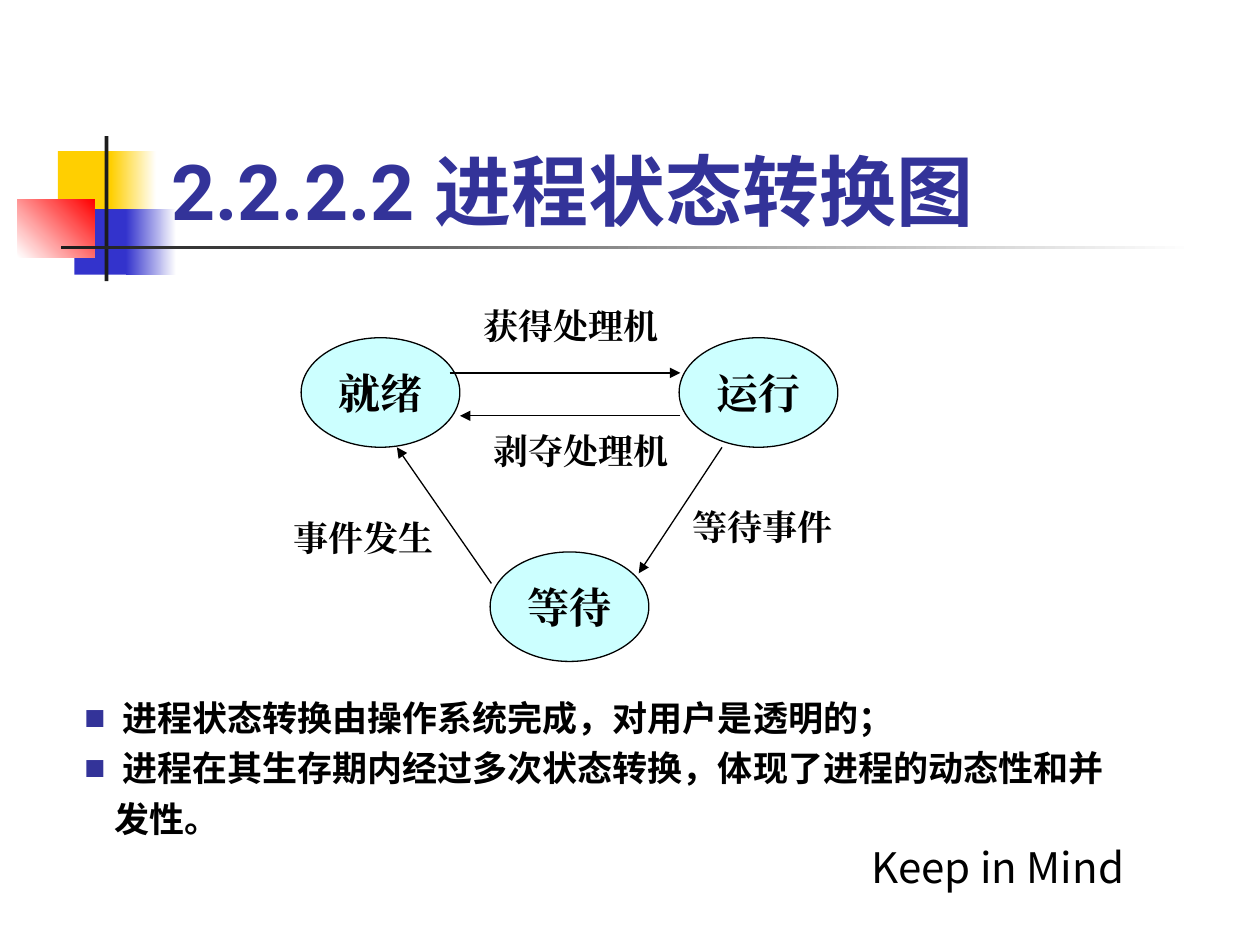
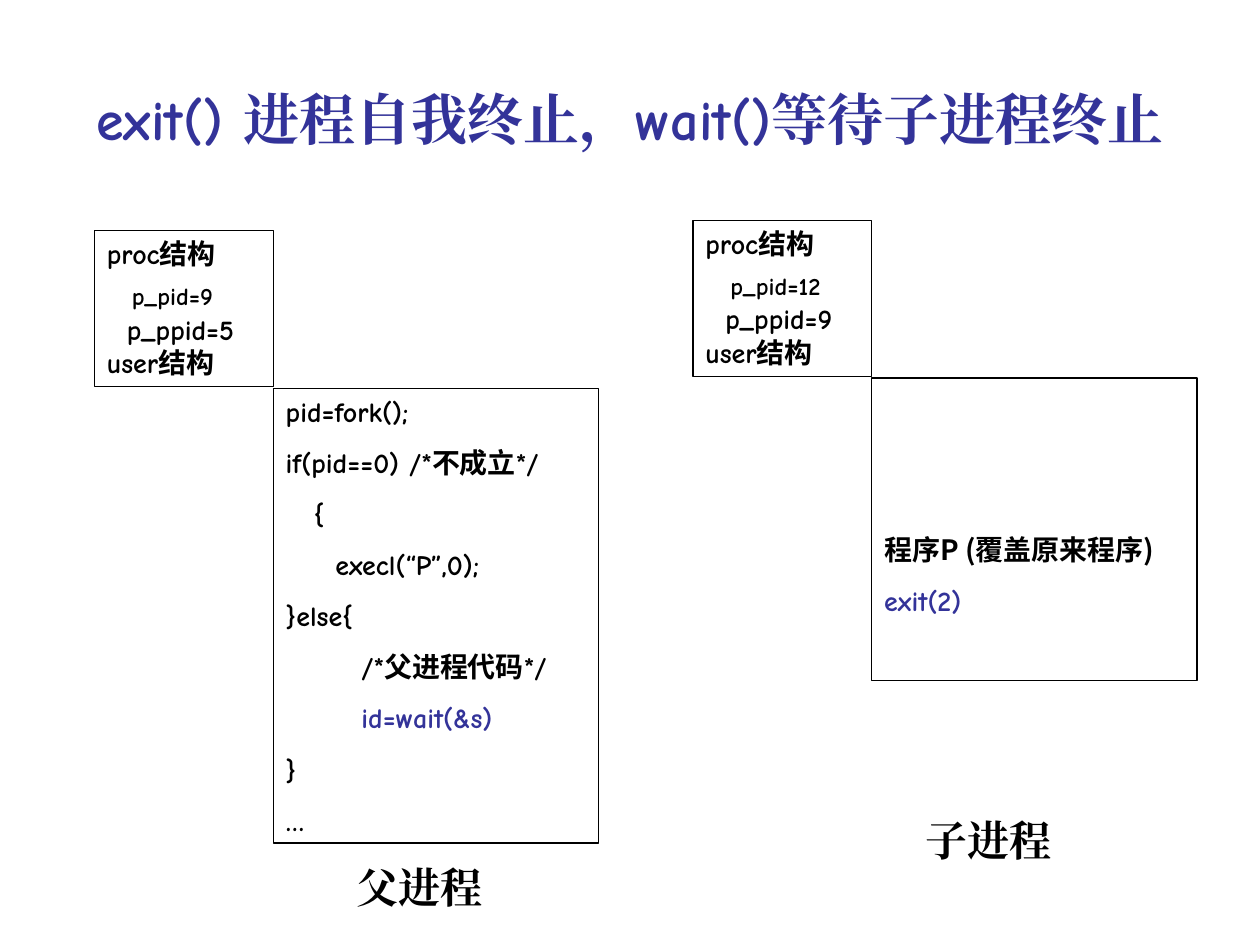
from dataclasses import dataclass

from lxml import etree
from pptx import Presentation
from pptx.dml.color import RGBColor
from pptx.enum import shapes, text
from pptx.oxml import ns
from pptx.util import Pt


@dataclass(frozen=True)
class Theme:
    ink: str = "000000"
    accent: str = "333399"
    state: str = "CCFFFF"
    paper: str = "FFFFFF"
    yellow: str = "FFCF01"
    blue: str = "3333CC"
    red: str = "FF0000"
    rule: str = "1C1C1C"
    serif: str = "Times New Roman"
    hand: str = "Comic Neue"
    sans: str = "Noto Sans CJK SC"
    heading: str = "Roboto"
    title: int = 44
    long_title: int = 32
    large: int = 24
    label: int = 20
    code: int = 16
    small: int = 14
    line: float = 0.75


THEME = Theme()
ALIGN = text.PP_ALIGN
ANCHOR = text.MSO_ANCHOR


def rgb(value):
    return RGBColor.from_string(value)


def add_span(para, words, size, font, color=THEME.ink, bold=True):
    span = para.add_run()
    span.text = words
    span.font.size = Pt(size)
    span.font.bold = bold
    span.font.color.rgb = rgb(color)
    span.font.name = font
    east_asian = etree.SubElement(span.font._element, ns.qn("a:ea"))
    east_asian.set("typeface", font)


def next_para(frame, index, space_before=0):
    """Return the paragraph to fill; only later paragraphs get space before."""
    para = frame.add_paragraph() if index else frame.paragraphs[0]
    para.space_before = Pt(space_before if index else 0)
    return para


def place(shape, left, top, width, height):
    shape.left, shape.top = Pt(left), Pt(top)
    shape.width, shape.height = Pt(width), Pt(height)


def set_frame(shape, anchor=ANCHOR.TOP):
    frame = shape.text_frame
    frame.word_wrap = True
    frame.auto_size = text.MSO_AUTO_SIZE.NONE
    frame.vertical_anchor = anchor
    return frame


def add_title(slide, area, spans, size, align, anchor):
    title = slide.shapes.title
    place(title, *area)
    frame = set_frame(title, anchor)
    para = next_para(frame, 0)
    para.alignment = align
    for words, font in spans:
        add_span(para, words, size, font, THEME.accent)
    return frame


def add_label(slide, area, words, size, font=THEME.serif, bold=True, align=ALIGN.LEFT):
    box = slide.shapes.add_textbox(*map(Pt, area))
    para = next_para(set_frame(box), 0)
    para.alignment = align
    add_span(para, words, size, font, bold=bold)


def add_block(slide, area, colors, angle=0):
    """Draw a borderless rectangle in one colour or a two-colour gradient."""
    block = slide.shapes.add_shape(shapes.MSO_SHAPE.RECTANGLE, *map(Pt, area))
    block.shadow.inherit = False
    block.line.fill.background()
    if len(colors) == 1:
        block.fill.solid()
        block.fill.fore_color.rgb = rgb(colors[0])
        return
    block.fill.gradient()
    block.fill.gradient_angle = angle
    for stop, color in zip(block.fill.gradient_stops, colors):
        stop.color.rgb = rgb(color)


def add_ornament(slide):
    t = THEME
    add_block(slide, (33.1, 86.4, 34.6, 37.4), [t.yellow])
    add_block(slide, (63.4, 86.4, 25.9, 37.4), [t.yellow, t.paper])
    add_block(slide, (42.5, 119.5, 33.1, 37.4), [t.blue])
    add_block(slide, (72, 119.5, 28.8, 37.4), [t.blue, t.paper])
    add_block(slide, (10.1, 113.8, 43.9, 33.1), [t.paper, t.red], angle=45)
    add_block(slide, (59.8, 77.8, 2.2, 82.8), [t.rule])
    add_block(slide, (34.6, 140.4, 648, 2.2), [t.rule, t.paper])
    title = slide.shapes.title._element
    title.getparent().append(title)


def add_outlined(slide, kind, area, fill=None):
    shape = slide.shapes.add_shape(kind, *map(Pt, area))
    shape.shadow.inherit = False
    shape.line.color.rgb = rgb(THEME.ink)
    shape.line.width = Pt(THEME.line)
    if fill:
        shape.fill.solid()
        shape.fill.fore_color.rgb = rgb(fill)
    else:
        shape.fill.background()
    return shape


def add_state(slide, left, top, name):
    oval = add_outlined(slide, shapes.MSO_SHAPE.OVAL, (left, top, 90.7, 62.6), THEME.state)
    frame = set_frame(oval, ANCHOR.MIDDLE)
    para = next_para(frame, 0)
    para.alignment = ALIGN.CENTER
    add_span(para, name, THEME.large, THEME.serif)


def add_arrow(slide, ends):
    arrow = slide.shapes.add_connector(shapes.MSO_CONNECTOR.STRAIGHT, *map(Pt, ends))
    arrow.line.color.rgb = rgb(THEME.ink)
    arrow.line.width = Pt(THEME.line)
    etree.SubElement(arrow.line._get_or_add_ln(), ns.qn("a:tailEnd")).set("type", "triangle")
    etree.SubElement(arrow._element.spPr, ns.qn("a:effectLst"))


def add_bullets(slide, area, items):
    body = slide.placeholders[1]
    place(body, *area)
    frame = set_frame(body)
    frame.margin_left = frame.margin_right = frame.margin_top = frame.margin_bottom = 0
    for index, item in enumerate(items):
        para = next_para(frame, index)
        para.line_spacing = Pt(28.8)
        props = para._p.get_or_add_pPr()
        props.set("marL", str(Pt(17)))
        props.set("indent", str(-Pt(17)))
        color = etree.SubElement(props, ns.qn("a:buClr"))
        etree.SubElement(color, ns.qn("a:srgbClr")).set("val", THEME.accent)
        etree.SubElement(props, ns.qn("a:buChar")).set("char", "■")
        add_span(para, " " + item, THEME.label, THEME.sans)


def add_text_rect(slide, area):
    rect = add_outlined(slide, shapes.MSO_SHAPE.RECTANGLE, area)
    return set_frame(rect)


def add_proc(slide, left, top, pid, ppid):
    frame = add_text_rect(slide, (left, top, 102.2, 89.3))
    rows = [("proc结构", THEME.code, 0, 0), (f"p_pid={pid}", THEME.small, 14.3, 6),
            (f"p_ppid={ppid}", THEME.code, 11.4, 1), ("user结构", THEME.code, 0, 0)]
    for index, (words, size, indent, gap) in enumerate(rows):
        para = next_para(frame, index, gap)
        para.alignment = ALIGN.LEFT
        para._p.get_or_add_pPr().set("marL", str(Pt(indent)))
        add_span(para, words, size, THEME.hand)


def add_program(slide, area, lines, top_inset=3.6):
    """Draw a framed program; each line is (words, font, colour)."""
    frame = add_text_rect(slide, area)
    frame.margin_top = Pt(top_inset)
    for index, (words, font, color) in enumerate(lines):
        para = next_para(frame, index, 10)
        para.alignment = ALIGN.LEFT
        add_span(para, words, THEME.code, font, color)


def build_state_diagram(deck):
    slide = deck.slides.add_slide(deck.slide_layouts[1])
    add_title(slide, (90.7, 48.2, 613.4, 90), [("2.2.2.2 进程状态转换图", THEME.heading)],
              THEME.title, ALIGN.LEFT, ANCHOR.BOTTOM)
    add_ornament(slide)
    for column, (name, top) in enumerate([("就绪", 193), ("等待", 315.4), ("运行", 193)]):
        add_state(slide, 172.1 + 108 * column, top, name)
    transitions = [
        ("获得处理机", (257, 213.1, 388.8, 213.1), (269.3, 170.6, 120.2)),
        ("剥夺处理机", (388.8, 237.6, 262.8, 237.6), (275, 241.9, 120.2)),
        ("等待事件", (412.6, 255.6, 365, 327.6), (388.8, 285.1, 95.8)),
        ("事件发生", (280.8, 333.4, 226.8, 255.6), (160.6, 291.6, 95.8)),
    ]
    for name, ends, label_area in transitions:
        add_arrow(slide, ends)
        add_label(slide, (*label_area, 31.7), name, THEME.label)
    add_label(slide, (462.2, 477.4, 216, 48.2), "Keep in Mind", THEME.large,
              THEME.sans, bold=False, align=ALIGN.CENTER)
    add_bullets(slide, (48.2, 393.1, 592.6, 86.4), [
        "进程状态转换由操作系统完成，对用户是透明的；",
        "进程在其生存期内经过多次状态转换，体现了进程的动态性和并发性。"])


def build_exit_wait(deck):
    slide = deck.slides.add_slide(deck.slide_layouts[5])
    title = add_title(slide, (36, 44.6, 648, 46.1),
                      [("exit() ", THEME.hand), ("进程自我终止，", THEME.serif),
                       ("wait()", THEME.hand), ("等待子进程终止", THEME.serif)],
                      THEME.long_title, ALIGN.CENTER, ANCHOR.MIDDLE)
    title.margin_left = title.margin_right = 0
    parent_code = ["pid=fork();", "if(pid==0) /*不成立*/", "　{", "     execl(“P”,0);",
                   "}else{", "　　  /*父进程代码*/", "　　  id=wait(&s)", "}", "…"]
    add_program(slide, (156.2, 221.8, 185.8, 259.9),
                [(line, THEME.hand, THEME.accent if "wait" in line else THEME.ink)
                 for line in parent_code])
    add_proc(slide, 54, 131.8, pid=9, ppid=5)
    add_label(slide, (196.6, 488.9, 90, 36), "父进程", THEME.large)
    add_program(slide, (498.2, 216, 185.8, 172.8),
                [("程序P (覆盖原来程序)", THEME.sans, THEME.ink),
                 ("exit(2)", THEME.hand, THEME.accent)], top_inset=88.5)
    add_proc(slide, 396, 126, pid=12, ppid=9)
    add_label(slide, (522, 462.2, 90, 36), "子进程", THEME.large)


def main():
    deck = Presentation()
    deck.slide_width, deck.slide_height = Pt(720), Pt(540)
    build_state_diagram(deck)
    build_exit_wait(deck)
    deck.save("out.pptx")


if __name__ == "__main__":
    main()
